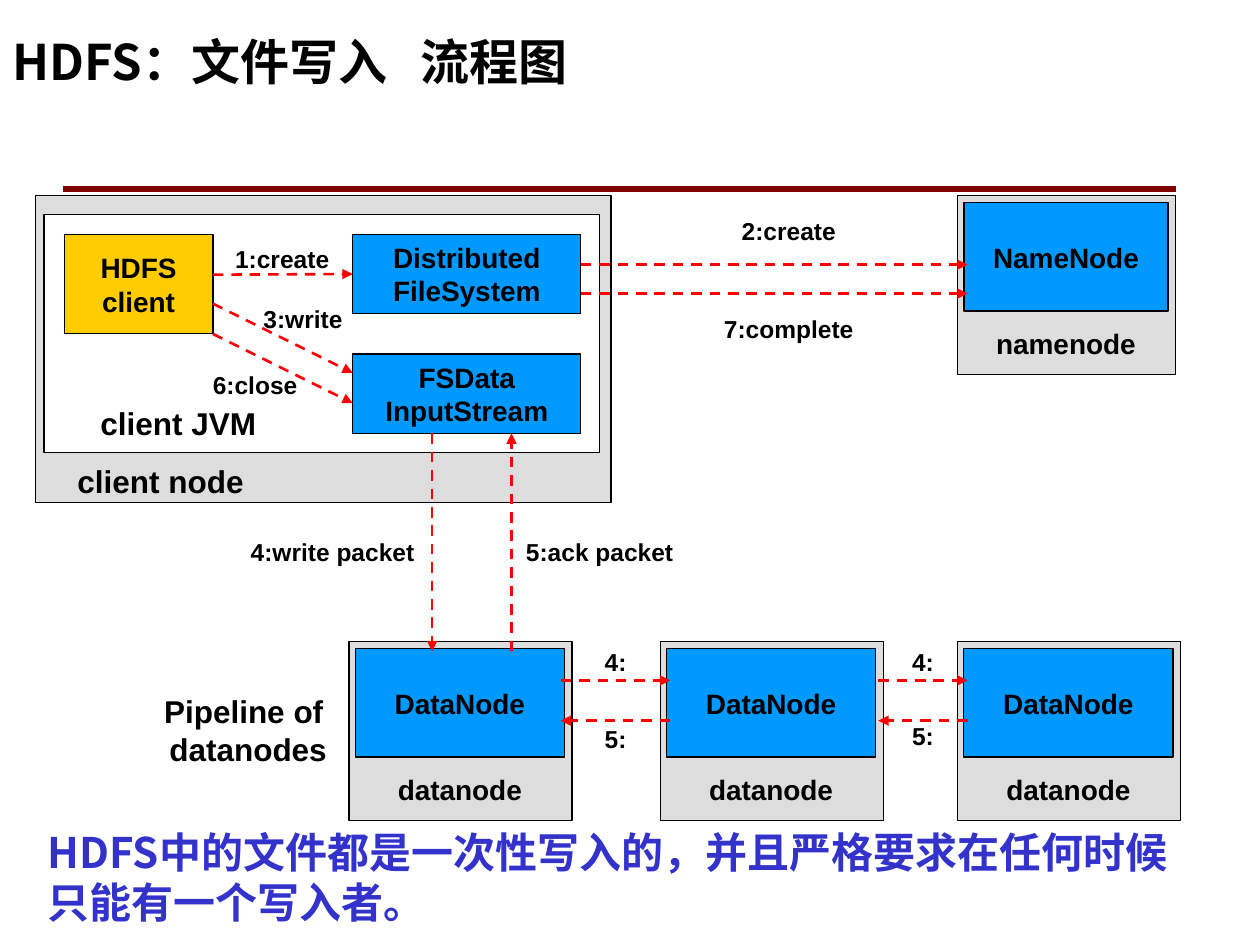
import pptx
import pptx.dml.color
import pptx.enum.dml
import pptx.enum.shapes
import pptx.enum.text
import pptx.oxml.ns
import pptx.util
from lxml import etree
from pptx.util import Inches

COLORS = {
    "black": "000000", "white": "FFFFFF", "gray": "DDDDDD", "blue": "0099FF",
    "yellow": "FFCC00", "red": "FF0000", "maroon": "800000", "indigo": "3333CC",
}
LATIN, CJK = "Arial", "Noto Sans CJK SC"
CENTER = pptx.enum.text.PP_ALIGN.CENTER
LEFT = pptx.enum.text.PP_ALIGN.LEFT
MIDDLE = pptx.enum.text.MSO_ANCHOR.MIDDLE
TOP = pptx.enum.text.MSO_ANCHOR.TOP


def color(name):
    """Return the named palette colour."""
    return pptx.dml.color.RGBColor.from_string(COLORS[name])


def apply_format(target, values):
    """Set each attribute in values on target."""
    for attribute, value in values.items():
        setattr(target, attribute, value)


def add_child(parent, tag, **attributes):
    """Append a DrawingML element to parent."""
    return etree.SubElement(parent, pptx.oxml.ns.qn(tag), **attributes)


def write_text(shape, text, size, ink="black", font=LATIN, align=CENTER,
               anchor=MIDDLE, wrap=False):
    """Fill a shape with bold text, one paragraph per line."""
    frame = shape.text_frame
    frame.text = text
    apply_format(frame, {
        "auto_size": pptx.enum.text.MSO_AUTO_SIZE.NONE,
        "word_wrap": wrap, "vertical_anchor": anchor,
    })
    for paragraph in frame.paragraphs:
        paragraph.alignment = align
        for run in paragraph.runs:
            apply_format(run.font, {"name": font, "size": pptx.util.Pt(size), "bold": True})
            run.font.color.rgb = color(ink)
            add_child(run.font._element, "a:ea", typeface=font)


def add_box(shapes, bounds, fill, text="", size=16, outlined=True):
    """Add a filled rectangle with optional centred text."""
    box = shapes.add_shape(pptx.enum.shapes.MSO_SHAPE.RECTANGLE, *map(Inches, bounds))
    box.shadow.inherit = False
    box.fill.solid()
    box.fill.fore_color.rgb = color(fill)
    if outlined:
        box.line.color.rgb = color("black")
        box.line.width = pptx.util.Pt(0.75)
    else:
        box.line.fill.background()
    if text:
        write_text(box, text, size)
    return box


def add_node(shapes, left, top, width, process):
    """Add a grouped machine holding one process and its caption."""
    node = shapes.add_group_shape().shapes
    inner_left, inner_width = left + 0.05, width - 0.11
    add_box(node, (left, top, width, 1.42), "gray")
    add_box(node, (inner_left, top + 0.06, inner_width, 0.86), "blue", process)
    add_box(node, (inner_left, top + 0.99, inner_width, 0.37), "gray",
            process.lower(), outlined=False)


def add_label(shapes, bounds, text, size=14, **style):
    """Add a text box."""
    label = shapes.add_textbox(*map(Inches, bounds))
    write_text(label, text, size, **style)


def add_line(shapes, ends, ink, width):
    """Add a straight line without a shadow."""
    line = shapes.add_connector(pptx.enum.shapes.MSO_CONNECTOR.STRAIGHT, *map(Inches, ends))
    line.line.color.rgb = color(ink)
    line.line.width = pptx.util.Pt(width)
    return line


def add_arrow(shapes, *ends):
    """Add a dashed red arrow."""
    arrow = add_line(shapes, ends, "red", 1.5)
    arrow.line.dash_style = pptx.enum.dml.MSO_LINE.DASH
    add_child(arrow.line._get_or_add_ln(), "a:tailEnd", type="triangle")
    add_child(arrow._element.spPr, "a:effectLst")
    return arrow


def add_title(slide, text):
    """Place the title and the rule beneath it."""
    rule = add_line(slide.shapes, (0.5, 1.5, 9.33, 1.5), "maroon", 3)
    add_child(rule._element.spPr, "a:effectLst")
    title = slide.shapes.title
    apply_format(title, {"left": Inches(0), "top": Inches(0.21),
                         "width": Inches(5.24), "height": Inches(0.54)})
    write_text(title, text, 28, font=CJK, align=LEFT, wrap=True)


def add_client(shapes):
    """Add the client machine, its JVM and the objects inside."""
    add_box(shapes, (0.29, 3.66, 1.97, 0.31), "gray", "client node", 18, outlined=False)
    add_box(shapes, (0.35, 1.7, 4.41, 1.89), "white")
    add_box(shapes, (0.51, 1.86, 1.18, 0.79), "yellow", "HDFS\nclient")
    file_system = add_box(shapes, (2.8, 1.86, 1.81, 0.63), "blue", "Distributed\nFileSystem")
    add_box(shapes, (2.8, 2.81, 1.81, 0.63), "blue", "FSData\nInputStream")
    add_label(shapes, (0.43, 3.2, 1.97, 0.31), "client JVM", 18)
    add_arrow(shapes, 1.69, 2.18, 2.8, 2.18).end_connect(file_system, 1)
    for start in (2.41, 2.65):
        add_arrow(shapes, 1.69, start, 2.8, start + 0.55)


def main():
    """Build and save the HDFS write-flow slide."""
    deck = pptx.Presentation()
    apply_format(deck, {"slide_width": Inches(10), "slide_height": Inches(7.5)})
    slide = deck.slides.add_slide(deck.slide_layouts[5])
    shapes = slide.shapes
    add_title(slide, "HDFS：文件写入   流程图")

    add_box(shapes, (0.28, 1.55, 4.57, 2.44), "gray")
    add_node(shapes, 7.6, 1.55, 1.73, "NameNode")
    for left in (2.77, 5.24, 7.6):
        add_node(shapes, left, 5.09, 1.77, "DataNode")
    add_client(shapes)

    for height in (2.1, 2.33):
        add_arrow(shapes, 4.61, height, 7.68, height)
    add_arrow(shapes, 3.43, 3.44, 3.43, 5.17)
    add_arrow(shapes, 4.06, 5.17, 4.06, 3.44)
    for sender, receiver in ((4.45, 5.32), (6.97, 7.68)):
        add_arrow(shapes, sender, 5.4, receiver, 5.4)
        add_arrow(shapes, receiver, 5.72, sender, 5.72)

    steps = [
        ("1:create", 1.77, 1.89, 0.94), ("2:create", 5.47, 1.67, 1.58),
        ("3:write", 1.93, 2.37, 0.95), ("4:write packet", 2.09, 4.22, 1.1),
        ("5:ack packet", 4.21, 4.22, 1.1), ("6:close", 1.55, 2.89, 0.95),
        ("7:complete", 5.47, 2.45, 1.58), ("4:", 4.69, 5.09, 0.39),
        ("4:", 7.13, 5.09, 0.39), ("5:", 4.69, 5.7, 0.39), ("5:", 7.13, 5.68, 0.39),
    ]
    for step, left, top, width in steps:
        add_label(shapes, (left, top, width, 0.32), step)

    add_label(shapes, (1.22, 5.48, 1.5, 0.63), "Pipeline of \ndatanodes", 18)
    add_label(shapes, (0.28, 6.51, 9.21, 0.9),
              "HDFS中的文件都是一次性写入的，并且严格要求在任何时候只能有一个写入者。",
              24, ink="indigo", font=CJK, align=LEFT, anchor=TOP, wrap=True)
    deck.save("out.pptx")


if __name__ == "__main__":
    main()
